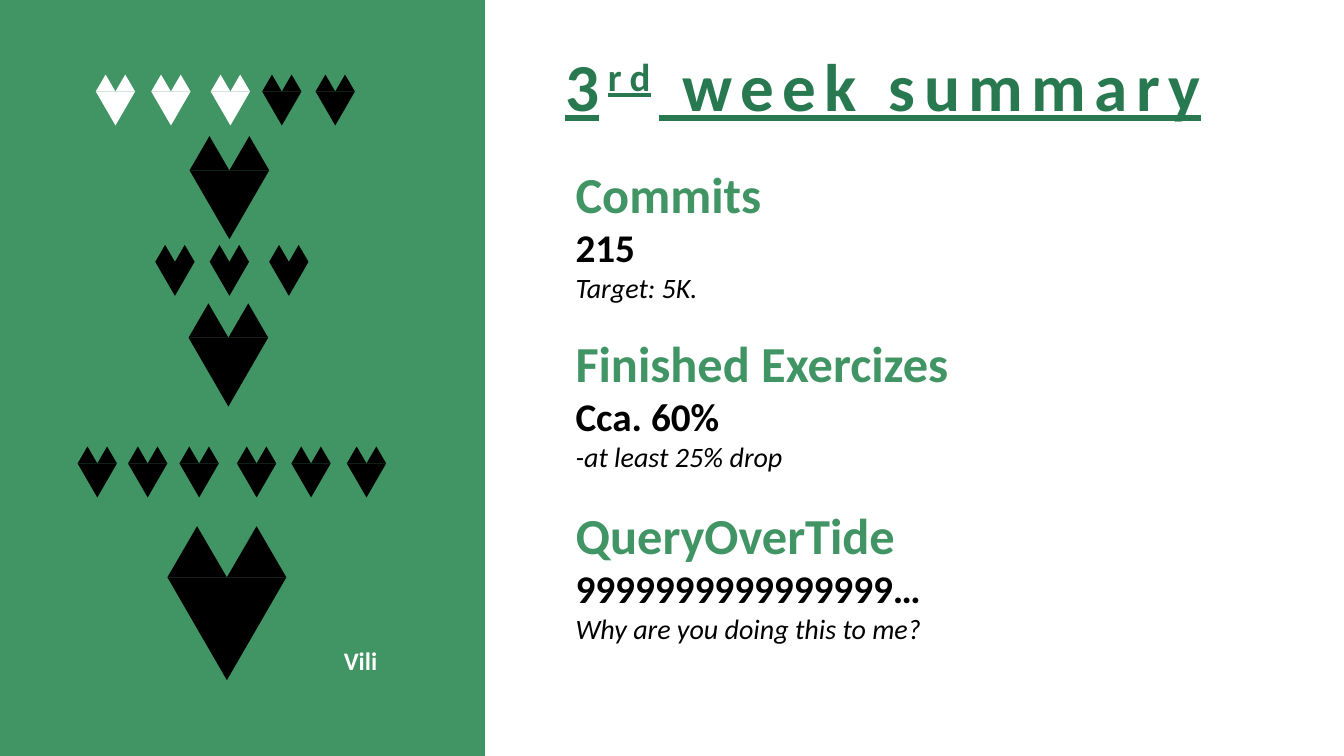
from pptx import Presentation
from pptx.dml.color import RGBColor
from pptx.enum.shapes import MSO_SHAPE as Preset
from pptx.enum.text import MSO_AUTO_SIZE as AutoSize, PP_ALIGN as Align
from pptx.util import Inches, Pt

COLORS = {
    "green": "419464",
    "dark_green": "287850",
    "white": "FFFFFF",
    "black": "000000",
}
FONT = "Calibri"
SMALL, MEDIUM, LARGE = 0.39, 0.79, 1.18

# Heart rows: top, heart width, left edges, number of white hearts
HEART_ROWS = [
    (0.74, SMALL, [0.95, 1.5, 2.09, 2.6, 3.13], 3),
    (1.35, MEDIUM, [1.88], 0),
    (2.43, SMALL, [1.54, 2.08, 2.67], 0),
    (3.01, MEDIUM, [1.87], 0),
    (4.43, SMALL, [0.77, 1.27, 1.78, 2.35, 2.89, 3.44], 0),
    (5.22, LARGE, [1.66], 0),
]

# Summary sections: gap before in points, heading, figure, remark
SECTIONS = [
    (0, "Commits", "215", "Target: 5K."),
    (19.5, "Finished Exercizes", "Cca. 60%", "-at least 25% drop"),
    (22, "QueryOverTide", "9999999999999999…", "Why are you doing this to me?"),
]


def add_block(shapes, preset, left, top, width, height, color):
    shape = shapes.add_shape(
        preset, Inches(left), Inches(top), Inches(width), Inches(height))
    shape.shadow.inherit = False
    shape.fill.solid()
    shape.fill.fore_color.rgb = RGBColor.from_string(COLORS[color])
    shape.line.fill.background()
    return shape


def add_text_frame(slide, left, top, width, height):
    box = slide.shapes.add_textbox(
        Inches(left), Inches(top), Inches(width), Inches(height))
    frame = box.text_frame
    frame.word_wrap = True
    frame.auto_size = AutoSize.SHAPE_TO_FIT_TEXT
    return frame


def add_run(paragraph, text, size, color, bold=True, italic=False,
            underline=False, spacing=0, baseline=0):
    run = paragraph.add_run()
    run.text = text
    font = run.font
    font.name, font.size = FONT, Pt(size)
    font.bold, font.italic = bold, italic
    font.color.rgb = RGBColor.from_string(COLORS[color])
    if underline:
        font.underline = True
    # Letter spacing and superscript are XML attributes only
    properties = run._r.get_or_add_rPr()
    if spacing:
        properties.set("spc", str(spacing * 100))
    if baseline:
        properties.set("baseline", str(baseline * 1000))


def add_heart(slide, left, top, width, color):
    """Two lobes over a triangle that points down."""
    group = slide.shapes.add_group_shape()
    half, lobe, tip = width / 2, width * 0.43, width * 0.865
    point = add_block(group.shapes, Preset.ISOSCELES_TRIANGLE,
                      left, top + lobe, width, tip, color)
    point.rotation = 180
    for lobe_left in (left, left + half):
        add_block(group.shapes, Preset.ISOSCELES_TRIANGLE,
                  lobe_left, top, half, lobe, color)


def add_side_panel(slide, left, top, width, height):
    add_block(slide.shapes, Preset.RECTANGLE, left, top, width, height, "green")
    for row_top, heart_width, heart_lefts, white_count in HEART_ROWS:
        for index, heart_left in enumerate(heart_lefts):
            color = "white" if index < white_count else "black"
            add_heart(slide, left + heart_left, top + row_top,
                      heart_width, color)
    # Signature
    frame = add_text_frame(slide, left + 2.92, top + 6.35, 0.92, 0.4)
    paragraph = frame.paragraphs[0]
    paragraph.alignment = Align.RIGHT
    add_run(paragraph, "Vili", 18, "white")


def add_title(slide, left, top, width, height):
    paragraph = add_text_frame(slide, left, top, width, height).paragraphs[0]
    for text, baseline in (("3", 0), ("rd", 30), (" week summary", 0)):
        add_run(paragraph, text, 48, "dark_green", underline=True,
                spacing=6, baseline=baseline)


def add_summary(slide, left, top, width, height):
    frame = add_text_frame(slide, left, top, width, height)
    for index, (gap, heading, figure, remark) in enumerate(SECTIONS):
        paragraph = frame.add_paragraph() if index else frame.paragraphs[0]
        paragraph.space_before = Pt(gap)
        add_run(paragraph, heading, 36, "green")
        add_run(frame.add_paragraph(), figure, 28, "black")
        add_run(frame.add_paragraph(), remark, 20, "black",
                bold=False, italic=True)


presentation = Presentation()
presentation.slide_width = Inches(13.33)
presentation.slide_height = Inches(7.5)
slide = presentation.slides.add_slide(presentation.slide_layouts[6])

add_side_panel(slide, 0, 0, 4.81, 7.5)
add_title(slide, 5.51, 0.39, 7.01, 0.91)
add_summary(slide, 5.61, 1.57, 6.91, 4.91)

presentation.save("out.pptx")
